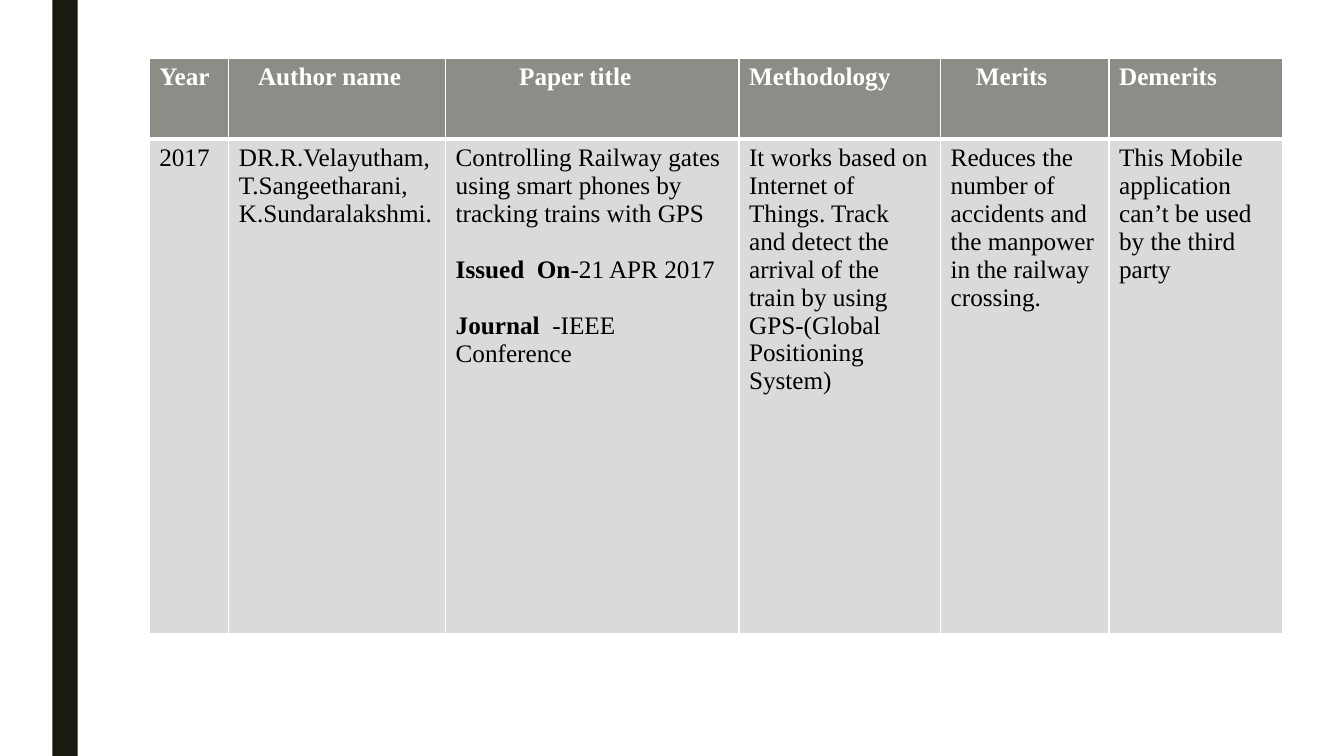
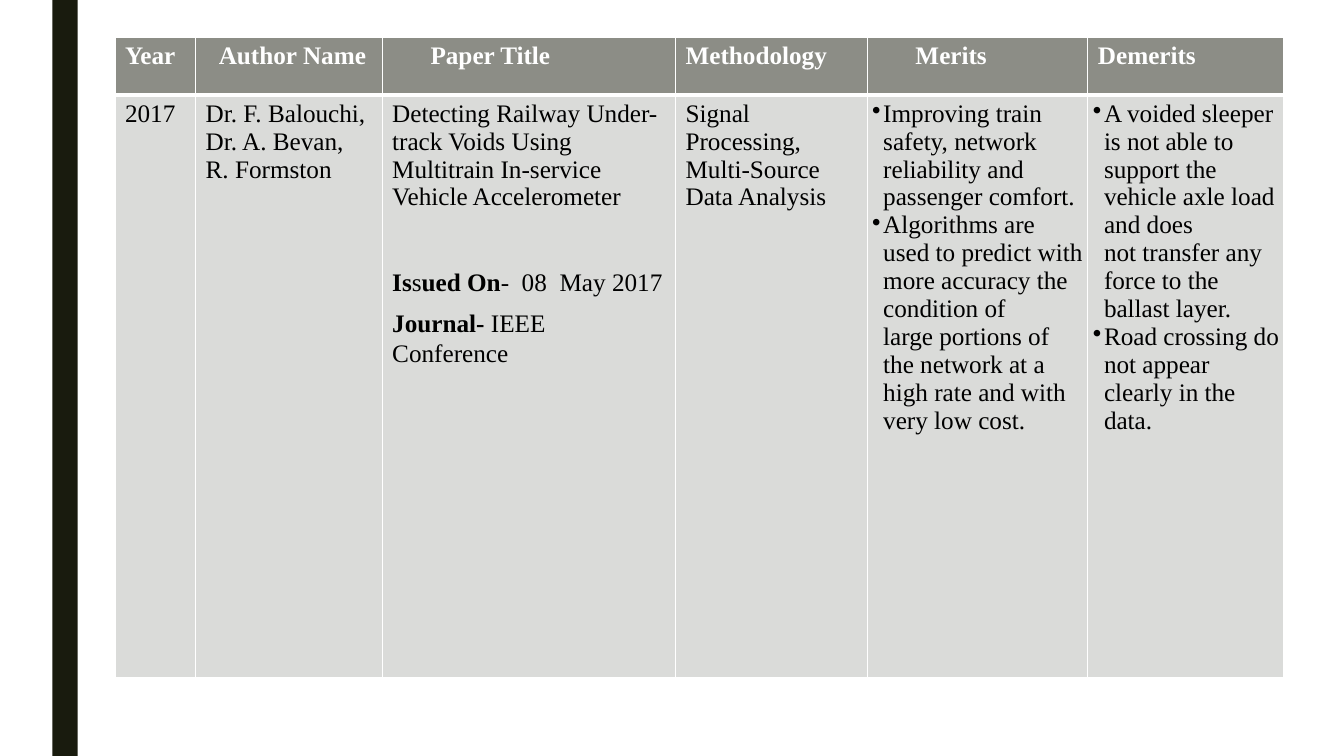
"""Build two literature survey slides, each with one table beside a dark band."""
from dataclasses import dataclass

from lxml import etree
from pptx import Presentation
from pptx.dml.color import RGBColor
from pptx.enum.shapes import MSO_SHAPE
from pptx.oxml.ns import qn
from pptx.presentation import Presentation as Deck
from pptx.slide import Slide
from pptx.table import _Cell as Cell
from pptx.util import Inches, Pt

RECT = MSO_SHAPE.RECTANGLE


@dataclass(frozen=True)
class Theme:
    font: str = "Times New Roman"
    size: int = 18
    band: str = "191B0E"
    head: str = "8C8D86"
    body: str = "DADBD9"
    white: str = "FFFFFF"
    black: str = "000000"
    thin: int = 1
    thick: int = 3
    margin: float = 0.1
    hang: float = 0.11


@dataclass(frozen=True)
class Run:
    text: str
    bold: bool = False


@dataclass(frozen=True)
class Para:
    runs: tuple[Run, ...]
    before: int = 0
    after: int = 0
    spacing: float | None = None
    bullet: bool = False


@dataclass(frozen=True)
class Column:
    width: float
    head: str
    body: tuple[Para, ...]
    indent: float = 0


@dataclass(frozen=True)
class Survey:
    left: float
    top: float
    heights: tuple[float, float]
    columns: tuple[Column, ...]


THEME = Theme()


def plain(*lines: str) -> tuple[Para, ...]:
    """Make one plain paragraph per line."""
    return tuple(Para((Run(line),)) for line in lines)


def bullets(*lines: str) -> tuple[Para, ...]:
    """Make one bulleted paragraph per line."""
    return tuple(Para((Run(line),), bullet=True) for line in lines)


SURVEYS = (
    Survey(1.48, 0.58, (0.8, 4.91), (
        Column(0.79, "Year", plain("2017")),
        Column(2.15, "Author name", plain(
            "DR.R.Velayutham,", "T.Sangeetharani,", "K.Sundaralakshmi."), 0.19),
        Column(2.91, "Paper title", plain(
            "Controlling Railway gates using smart phones by tracking trains with GPS") + (
            Para((Run("Issued  On", True), Run("-21 APR 2017")), before=20),
            Para((Run("Journal", True), Run("  -IEEE Conference")), before=20)), 0.63),
        Column(2, "Methodology", plain(
            "It works based on Internet of Things. Track and detect the arrival "
            "of the train by using GPS-(Global Positioning System)")),
        Column(1.67, "Merits", plain(
            "Reduces the number of accidents and the manpower in the railway crossing."), 0.25),
        Column(1.72, "Demerits", plain(
            "This Mobile application can’t be used by the third party")),
    )),
    Survey(1.14, 0.37, (0.57, 5.78), (
        Column(0.8, "Year", plain("2017")),
        Column(1.85, "Author Name", plain(
            "Dr. F. Balouchi,", "Dr. A. Bevan,", "R. Formston"), 0.13),
        Column(2.91, "Paper Title", plain(
            "Detecting Railway Under-track Voids Using Multitrain In-service "
            "Vehicle Accelerometer") + (
            Para((Run("Is", True), Run("s"), Run("ued On", True), Run("-  08  May 2017")),
                 40, 8, 1.07),
            Para((Run("Journal- ", True), Run("IEEE\nConference")), 0, 8, 1.07)), 0.38),
        Column(1.9, "Methodology", plain("Signal Processing,", "Multi-Source Data Analysis")),
        Column(2.19, "Merits", bullets(
            "Improving train safety, network reliability and passenger comfort.",
            "Algorithms are used to predict with more accuracy the condition of\n"
            "large portions of the network at a high rate and with very low cost."), 0.38),
        Column(1.94, "Demerits", bullets(
            "A voided sleeper is not able to support the vehicle axle load and does\n"
            "not transfer any force to the ballast layer.",
            "Road crossing do not appear clearly in the data.")),
    )),
)


def add_band(s: Slide, height: int) -> None:
    """Draw the dark vertical band."""
    sp = s.shapes.add_shape(RECT, Inches(0.52), 0, Inches(0.25), height)
    sp.shadow.inherit = False
    sp.fill.solid()
    sp.fill.fore_color.rgb = RGBColor.from_string(THEME.band)
    sp.line.fill.background()


def set_borders(cell: Cell, top: int, bottom: int) -> None:
    """Give the cell white borders of the given weights."""
    pr = cell._tc.get_or_add_tcPr()
    weights = {"a:lnL": THEME.thin, "a:lnR": THEME.thin, "a:lnT": top, "a:lnB": bottom}
    for tag, weight in weights.items():
        ln = etree.SubElement(pr, qn(tag), w=str(Pt(weight)))
        fill = etree.SubElement(ln, qn("a:solidFill"))
        etree.SubElement(fill, qn("a:srgbClr"), val=THEME.white)


def fill_cell(cell: Cell, paras: tuple[Para, ...], fill: str, color: str) -> None:
    """Fill the cell and write its paragraphs run by run."""
    cell.fill.solid()
    cell.fill.fore_color.rgb = RGBColor.from_string(fill)
    tf = cell.text_frame
    for i, para in enumerate(paras):
        p = tf.add_paragraph() if i else tf.paragraphs[0]
        p.space_before, p.space_after = Pt(para.before), Pt(para.after)
        if para.spacing:
            p.line_spacing = para.spacing
        if para.bullet:
            pr = p._p.get_or_add_pPr()
            pr.set("marL", str(Inches(THEME.hang)))
            pr.set("indent", str(-Inches(THEME.hang)))
            etree.SubElement(pr, qn("a:buChar"), char="•")
        for run in para.runs:
            for j, line in enumerate(run.text.split("\n")):
                if j:
                    p.add_line_break()
                r = p.add_run()
                r.text = line
                r.font.name, r.font.size = THEME.font, Pt(THEME.size)
                r.font.bold = run.bold
                r.font.color.rgb = RGBColor.from_string(color)


def add_survey(s: Slide, survey: Survey) -> None:
    """Draw the survey table."""
    width = sum(col.width for col in survey.columns)
    table = s.shapes.add_table(
        2, len(survey.columns), Inches(survey.left), Inches(survey.top),
        Inches(width), Inches(sum(survey.heights))).table
    for row, height in zip(table.rows, survey.heights):
        row.height = Inches(height)
    for i, col in enumerate(survey.columns):
        table.columns[i].width = Inches(col.width)
        head, body = table.cell(0, i), table.cell(1, i)
        head.margin_left = Inches(THEME.margin + col.indent)
        if col.body[0].bullet:
            body.margin_left, body.margin_right = Inches(0.05), Inches(0.03)
        set_borders(head, THEME.thin, THEME.thick)
        set_borders(body, THEME.thick, THEME.thin)
        fill_cell(head, (Para((Run(col.head, True),)),), THEME.head, THEME.white)
        fill_cell(body, col.body, THEME.body, THEME.black)


def build() -> Deck:
    """Build the deck, one slide per survey."""
    prs = Presentation()
    prs.slide_width, prs.slide_height = Inches(13.33), Inches(7.5)
    for survey in SURVEYS:
        s = prs.slides.add_slide(prs.slide_layouts[6])
        add_band(s, prs.slide_height)
        add_survey(s, survey)
    return prs


def main() -> None:
    """Save the deck."""
    build().save("out.pptx")


if __name__ == "__main__":
    main()
